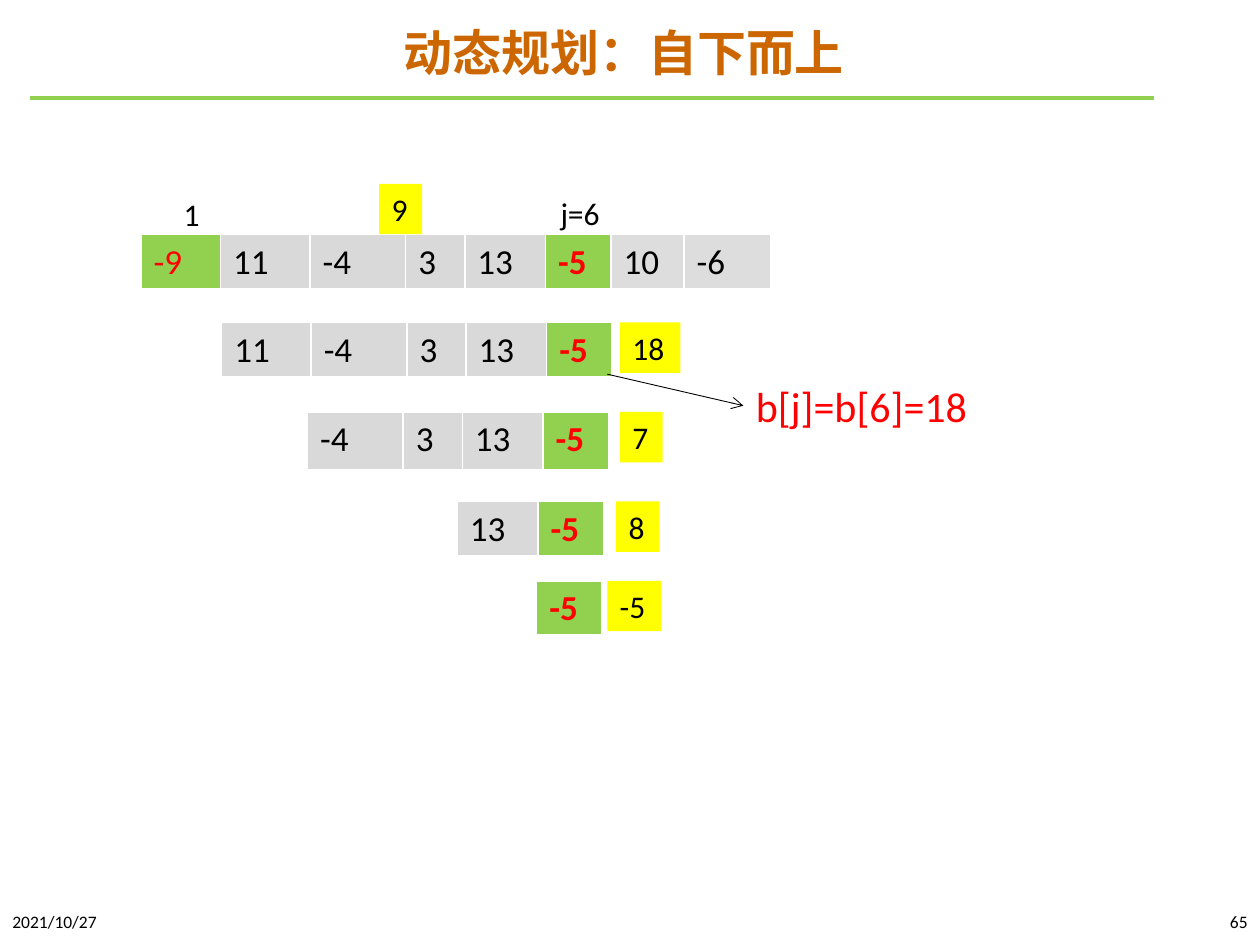
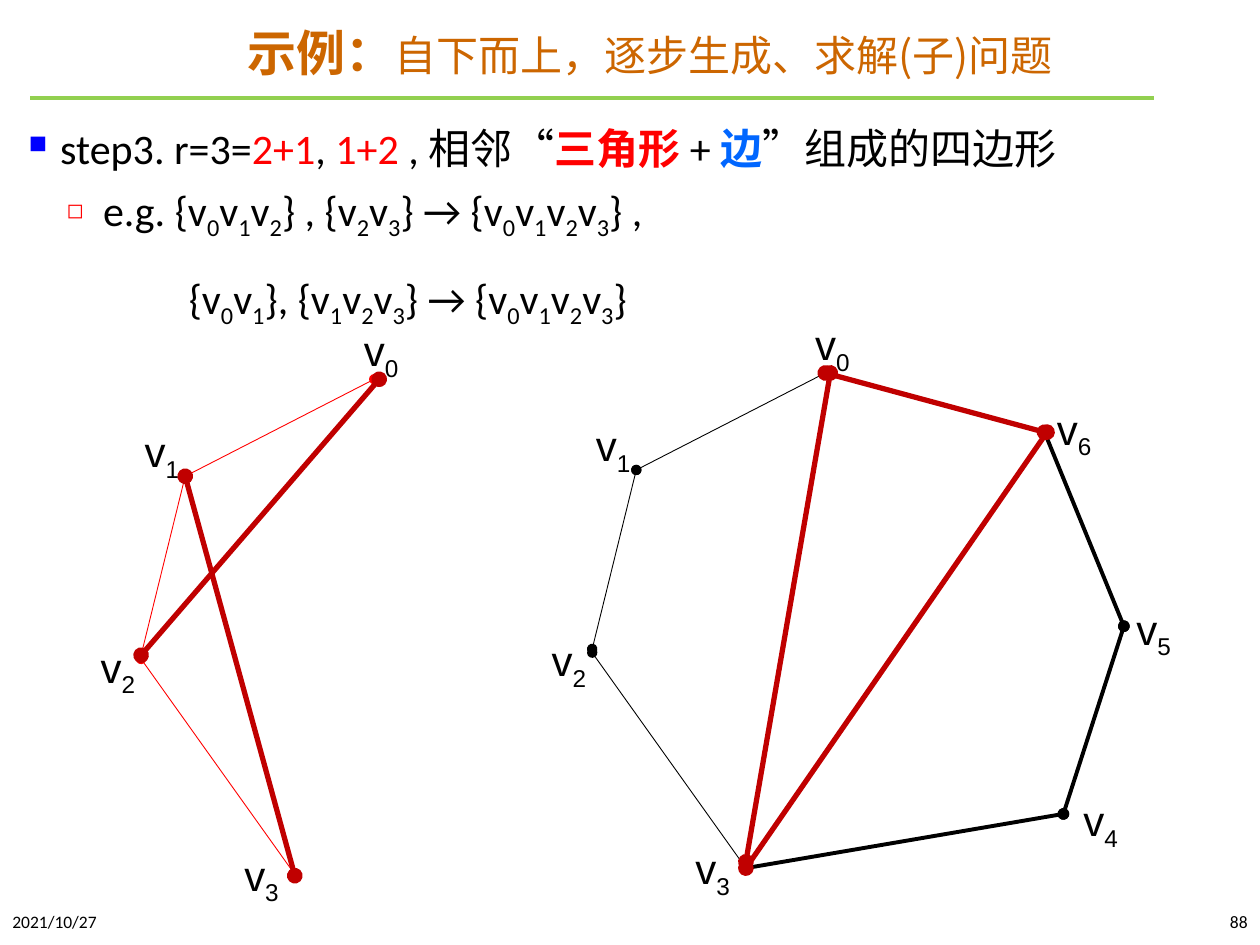
from dataclasses import dataclass
from itertools import groupby, pairwise

from lxml.etree import SubElement
from pptx import Presentation
from pptx.dml.color import RGBColor
from pptx.enum.shapes import MSO_CONNECTOR, MSO_SHAPE
from pptx.enum.text import MSO_ANCHOR, MSO_AUTO_SIZE, PP_ALIGN
from pptx.oxml.ns import qn
from pptx.util import Pt

PX = 9144


@dataclass(frozen=True)
class Theme:
    title: str = "CC6600"
    rule: str = "92D050"
    ink: str = "000000"
    red: str = "FF0000"
    dark_red: str = "C00000"
    blue: str = "0066FF"
    bullet: str = "0000FF"
    yellow: str = "FFFF00"
    cell: str = "D9D9D9"
    later_cell: str = "DDDDDD"
    border: str = "FFFFFF"
    latin: str = "Calibri"
    chinese: str = "Noto Sans CJK SC"
    vertex_font: str = "Arial"
    title_size: int = 28
    body_size: int = 24
    cell_size: int = 20
    label_size: int = 18
    footer_size: int = 10


THEME = Theme()

NUMBERS = [-9, 11, -4, 3, 13, -5, 10, -6]
WIDTHS = [63, 71, 76, 47, 64, 52, 58, 69]
TARGET = 5
SEGMENTS = [
    (0, 8, 112, 186, 43),
    (1, 6, 176, 256, 43),
    (2, 6, 244, 327, 47),
    (4, 6, 363, 398, 43),
    (5, 6, 426, 461, 43),
]
SUMS = [
    ("9", 301, 146, 34),
    ("18", 492, 256, 48),
    ("7", 492, 327, 34),
    ("8", 489, 398, 34),
    ("-5", 482, 461, 43),
]

LABELS = [(637, 248), (463, 328), (428, 499), (542, 664),
          (850, 626), (892, 474), (829, 315)]
THIN_EDGES = [
    ((470, 518), (592, 689)),
    ((505, 373), (470, 515)),
    ((505, 373), (655, 296)),
]
OUTER_PATH = [(829, 343), (892, 497), (844, 646), (592, 689)]
TRIANGLE = [
    ((655, 296), (829, 343)),
    ((831, 343), (592, 689)),
    ((659, 296), (592, 684)),
]
DIAGONALS = [((301, 301), (112, 520)), ((147, 378), (234, 695))]
LEFT_SHIFT = (-358, 5)


def assign(target, values):
    for name, value in values.items():
        setattr(target, name, value)


def rgb(color):
    return RGBColor.from_string(color)


def place(*lengths):
    return [length * PX for length in lengths]


def add_run(paragraph, text, size, color=THEME.ink, font=THEME.latin,
            bold=False, subscript=False):
    run = paragraph.add_run()
    run.text = text
    assign(run.font, {"size": Pt(size), "name": font, "bold": bold})
    run.font.color.rgb = rgb(color)
    properties = run._r.get_or_add_rPr()
    SubElement(properties, qn("a:ea"), typeface=THEME.chinese)
    if subscript:
        properties.set("baseline", "-25000")


def add_formula(paragraph, text, font=THEME.latin):
    for is_index, letters in groupby(text, str.isdigit):
        add_run(paragraph, "".join(letters), THEME.body_size, font=font,
                subscript=is_index)


def add_text_box(slide, box, wrap=True, anchor=MSO_ANCHOR.TOP):
    frame = slide.shapes.add_textbox(*place(*box)).text_frame
    fit = MSO_AUTO_SIZE.NONE if wrap else MSO_AUTO_SIZE.SHAPE_TO_FIT_TEXT
    assign(frame, {"word_wrap": wrap, "auto_size": fit,
                   "vertical_anchor": anchor})
    return frame


def add_label(slide, text, box, size, color=THEME.ink):
    frame = add_text_box(slide, box, wrap=False)
    add_run(frame.paragraphs[0], text, size, color)
    return slide.shapes[-1]


def add_line(slide, start, end, color, width, head=None, tail=None):
    line = slide.shapes.add_connector(
        MSO_CONNECTOR.STRAIGHT, *place(*start, *end))
    line.line.width = Pt(width)
    line.line.color.rgb = rgb(color)
    outline = line.line._get_or_add_ln()
    for tag, ending in (("a:headEnd", head), ("a:tailEnd", tail)):
        if ending:
            SubElement(outline, qn(tag), type=ending)
    SubElement(line._element.spPr, qn("a:effectLst"))
    return line


def add_edge(slide, start, end, color, width):
    add_line(slide, start, end, color, width, "oval", "oval")


def add_footer(slide, text, left, align):
    frame = add_text_box(slide, (left, 714, 225, 34), anchor=MSO_ANCHOR.MIDDLE)
    frame.paragraphs[0].alignment = align
    add_run(frame.paragraphs[0], text, THEME.footer_size)


def add_base(deck, heading, subheading, title_width, number):
    slide = deck.slides.add_slide(deck.slide_layouts[6])
    add_line(slide, (24, 78), (916, 78), THEME.rule, 2.25)
    title = add_text_box(slide, (64, 10, title_width, 68),
                         anchor=MSO_ANCHOR.MIDDLE).paragraphs[0]
    assign(title, {"alignment": PP_ALIGN.CENTER, "line_spacing": 0.9})
    add_run(title, heading, THEME.title_size, THEME.title, THEME.chinese, True)
    if subheading:
        add_run(title, subheading, THEME.body_size, THEME.title, THEME.chinese)
    add_footer(slide, "2021/10/27", 0, PP_ALIGN.LEFT)
    add_footer(slide, number, 775, PP_ALIGN.RIGHT)
    return slide


def add_borders(cell):
    properties = cell._tc.get_or_add_tcPr()
    for side, width in (("L", 1), ("R", 1), ("T", 1), ("B", 3)):
        border = SubElement(properties, qn(f"a:ln{side}"), w=str(Pt(width)))
        fill = SubElement(border, qn("a:solidFill"))
        SubElement(fill, qn("a:srgbClr"), val=THEME.border)


def add_segment(slide, first, stop, left, top, height):
    widths = WIDTHS[first:stop]
    table = slide.shapes.add_table(
        1, len(widths), *place(left, top, sum(widths), height)).table
    assign(table, {"first_row": False, "horz_banding": False})
    for column, width in enumerate(widths):
        index = first + column
        marked = index in (0, TARGET)
        plain = THEME.later_cell if index > TARGET else THEME.cell
        table.columns[column].width = width * PX
        cell = table.cell(0, column)
        add_borders(cell)
        cell.fill.solid()
        cell.fill.fore_color.rgb = rgb(THEME.rule if marked else plain)
        add_run(cell.text_frame.paragraphs[0], str(NUMBERS[index]),
                THEME.cell_size, THEME.red if marked else THEME.ink,
                bold=index == TARGET)


def add_sum(slide, text, left, top, width):
    badge = slide.shapes.add_shape(
        MSO_SHAPE.RECTANGLE, *place(left, top, width, 40))
    badge.shadow.inherit = False
    badge.fill.solid()
    badge.fill.fore_color.rgb = rgb(THEME.yellow)
    badge.line.fill.background()
    assign(badge.text_frame, {
        "word_wrap": False,
        "auto_size": MSO_AUTO_SIZE.SHAPE_TO_FIT_TEXT,
        "vertical_anchor": MSO_ANCHOR.TOP,
    })
    paragraph = badge.text_frame.paragraphs[0]
    paragraph.alignment = PP_ALIGN.LEFT
    add_run(paragraph, text, THEME.label_size)


def add_bullet(paragraph, symbol, color, percent):
    properties = paragraph._p.get_or_add_pPr()
    tint = SubElement(properties, qn("a:buClr"))
    SubElement(tint, qn("a:srgbClr"), val=color)
    SubElement(properties, qn("a:buSzPct"), val=str(percent * 1000))
    SubElement(properties, qn("a:buChar"), char=symbol)


def set_indent(paragraph, margin, hanging=0):
    properties = paragraph._p.get_or_add_pPr()
    properties.set("marL", str(margin * PX))
    properties.set("indent", str(-hanging * PX))


def add_steps(slide):
    frame = add_text_box(slide, (13, 84, 973, 631))
    step, example, second_example = (
        frame.paragraphs[0], frame.add_paragraph(), frame.add_paragraph())

    set_indent(step, 25, 25)
    add_bullet(step, "■", THEME.bullet, 60)
    for text, color, bold in (
        ("step3. r=3=", THEME.ink, False),
        ("2+1", THEME.red, False),
        (", ", THEME.ink, False),
        ("1+2", THEME.red, False),
        (" , 相邻“", THEME.ink, False),
        ("三角形 ", THEME.red, True),
        ("+ ", THEME.ink, False),
        ("边", THEME.blue, True),
        ("”组成的四边形", THEME.ink, False),
    ):
        add_run(step, text, THEME.body_size, color, bold=bold)

    example.level = 1
    set_indent(example, 59, 29)
    add_bullet(example, "◻", THEME.red, 50)
    add_formula(example, "e.g. {v0v1v2} , {v2v3} → {v0v1v2v3} ,")

    set_indent(second_example, 127)
    second_example.space_before = Pt(11)
    add_formula(second_example, "{v0v1}, {v1v2v3} → {v0v1v2v3}")
    for paragraph in frame.paragraphs:
        paragraph.line_spacing = 1.2


def shifted(point):
    return tuple(value + move for value, move in zip(point, LEFT_SHIFT))


def add_vertex_labels(slide, corners):
    for index, corner in enumerate(corners):
        frame = add_text_box(slide, (*corner, 49, 51), wrap=False)
        add_formula(frame.paragraphs[0], f"v{index}", THEME.vertex_font)


def add_heptagon(slide):
    for start, end in pairwise(OUTER_PATH):
        add_edge(slide, start, end, THEME.ink, 2.25)
    for start, end in THIN_EDGES:
        add_edge(slide, start, end, THEME.ink, 0.5)
    add_vertex_labels(slide, LABELS)
    for start, end in TRIANGLE:
        add_edge(slide, start, end, THEME.dark_red, 3)


def add_quadrilateral(slide):
    for start, end in THIN_EDGES:
        add_edge(slide, shifted(start), shifted(end), THEME.red, 0.5)
    add_vertex_labels(slide, map(shifted, LABELS[:4]))
    for start, end in DIAGONALS:
        add_edge(slide, start, end, THEME.dark_red, 3)


def build_bottom_up(deck):
    slide = add_base(deck, "动态规划：自下而上", "", 862, "65")
    for segment in SEGMENTS:
        add_segment(slide, *segment)
    add_label(slide, "1", (136, 150, 34, 40), THEME.label_size)
    add_label(slide, "j=6", (435, 149, 55, 40), THEME.label_size)
    best = add_label(slide, "b[j]=b[6]=18", (590, 297, 198, 50),
                     THEME.body_size, THEME.red)
    for total in SUMS:
        add_sum(slide, *total)
    arrow = add_line(slide, (482, 297), (590, 322), THEME.ink, 0.5,
                     tail="arrow")
    arrow.end_connect(best, 1)


def build_polygon_example(deck):
    slide = add_base(deck, "示例：", "自下而上，逐步生成、求解(子)问题", 904, "88")
    add_steps(slide)
    add_heptagon(slide)
    add_quadrilateral(slide)


def main():
    deck = Presentation()
    assign(deck, {"slide_width": 1000 * PX, "slide_height": 750 * PX})
    build_bottom_up(deck)
    build_polygon_example(deck)
    deck.save("out.pptx")


if __name__ == "__main__":
    main()
